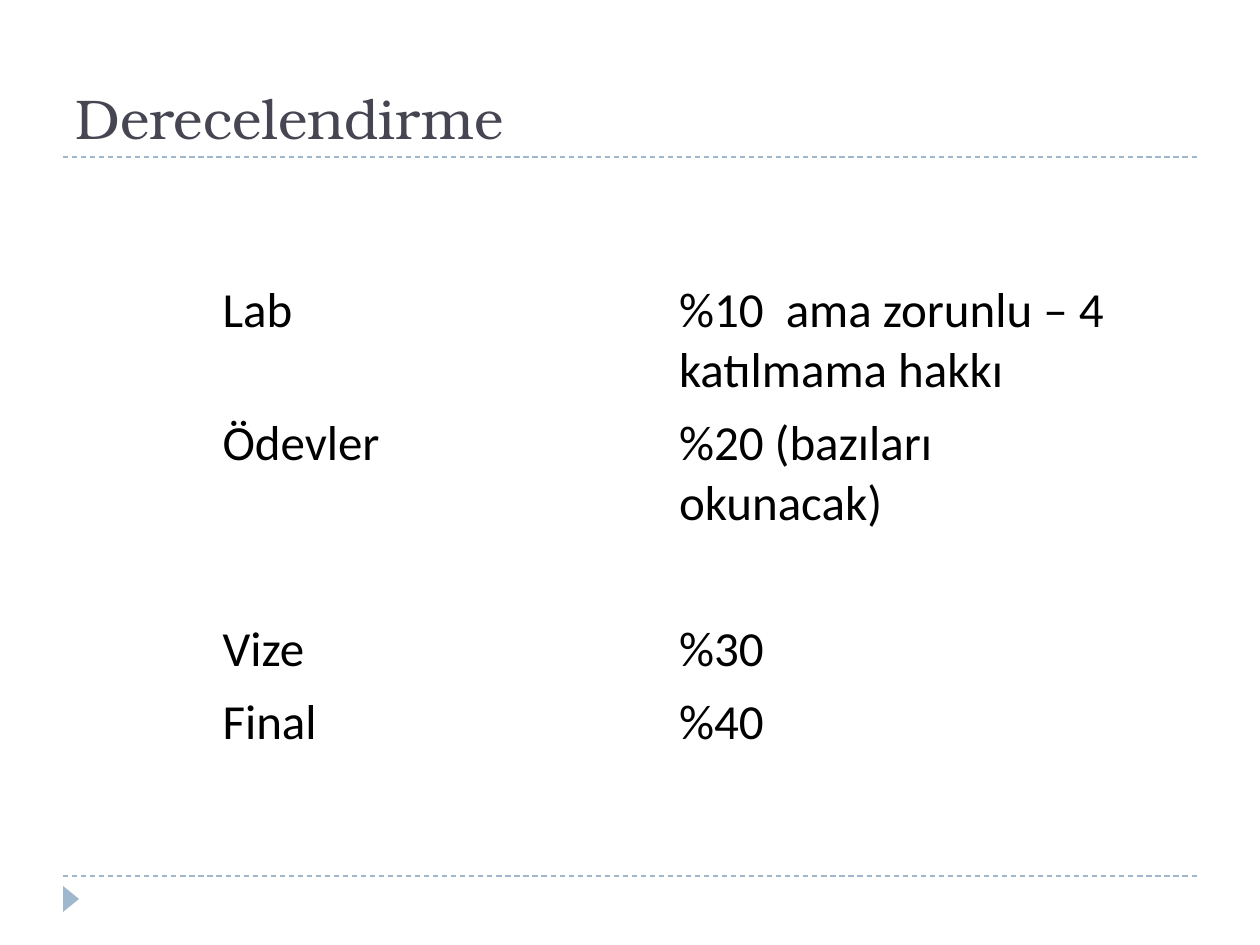
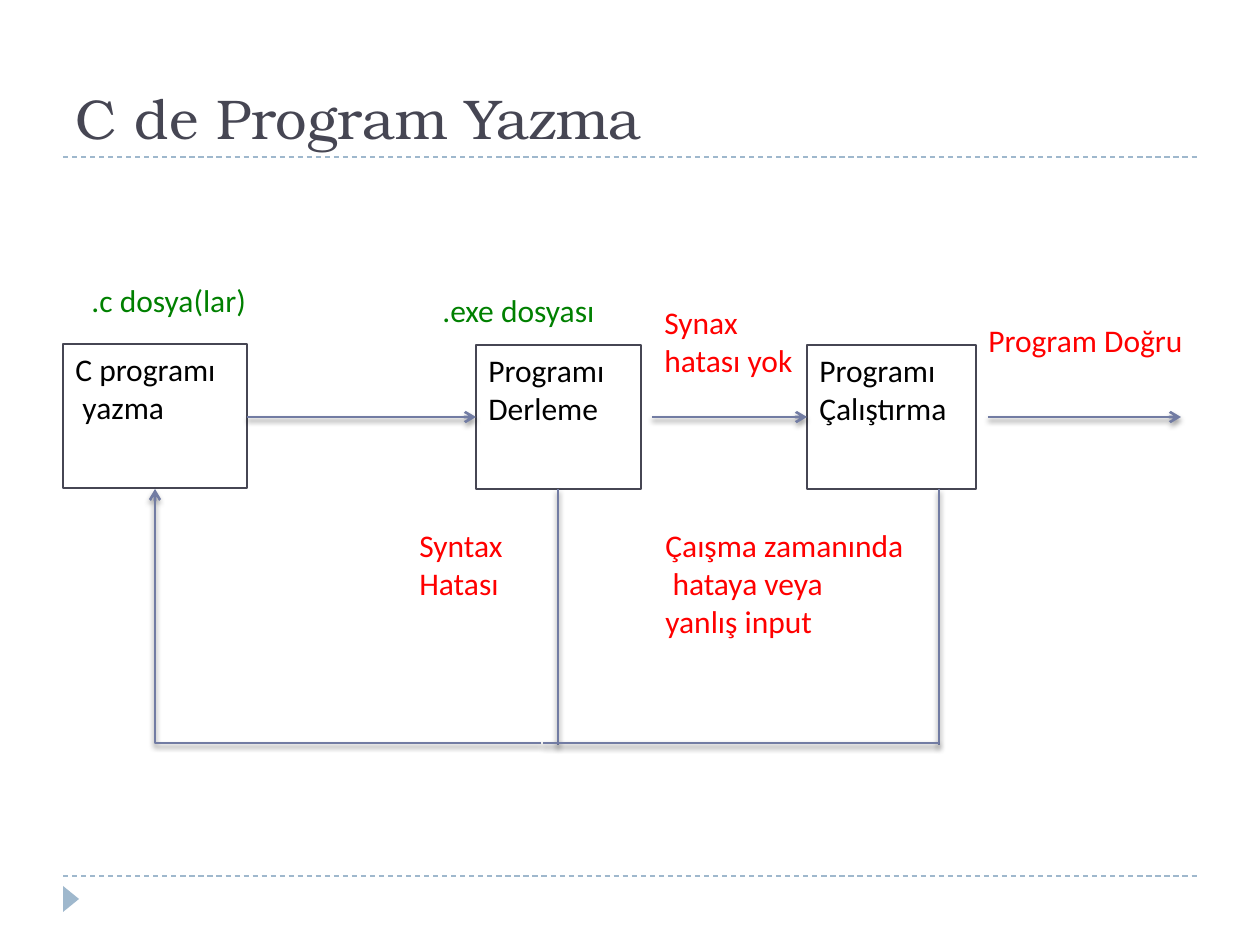
from lxml import etree
from pptx import Presentation
from pptx.dml.color import RGBColor
from pptx.enum import dml, shapes, text
from pptx.oxml import parse_xml
from pptx.oxml import ns

SCALE = 914400 / 126
HEAD = "TeX Gyre Bonum"
BODY = "Calibri"
SLATE = RGBColor(0x46, 0x46, 0x53)
SKY = RGBColor(0x9F, 0xB8, 0xCD)
INDIGO = RGBColor(0x72, 0x7C, 0xA3)
BLACK = RGBColor(0, 0, 0)
RED = RGBColor(0xFF, 0, 0)
GREEN = RGBColor(0, 0x80, 0)

LEFT, RIGHT = 63, 1197
FLOW, BACK, FOOT = 417, 743, 489

SHADOW = f"""<a:effectLst {ns.nsdecls("a")}>
<a:outerShdw blurRad="38100" dist="25400" dir="5400000" rotWithShape="0">
<a:srgbClr val="000000"><a:alpha val="40000"/></a:srgbClr>
</a:outerShdw></a:effectLst>"""
FLAT = f'<a:effectLst {ns.nsdecls("a")}/>'


def px(*sizes):
    return [round(size * SCALE) for size in sizes]


def pt(size):
    return round(size * 12700)


def write(para, words, size, color, font=BODY):
    run = para.add_run()
    run.text = words
    run.font.size = pt(size)
    run.font.name = font
    run.font.color.rgb = color


def fill_lines(frame, lines, color):
    frame.word_wrap = False
    frame.auto_size = text.MSO_AUTO_SIZE.SHAPE_TO_FIT_TEXT
    frame.vertical_anchor = text.MSO_ANCHOR.TOP
    for i, words in enumerate(lines):
        para = frame.add_paragraph() if i else frame.paragraphs[0]
        para.alignment = text.PP_ALIGN.LEFT
        write(para, words, 18, color)


def add_line(slide, start, end, color, width, effect, kind="STRAIGHT"):
    line = slide.shapes.add_connector(
        shapes.MSO_CONNECTOR[kind], *px(*start, *end))
    line.line.color.rgb = color
    line.line.width = pt(width)
    line._element.spPr.append(parse_xml(effect))
    return line


def add_flow(slide, start, end, arrow=False, kind="STRAIGHT"):
    line = add_line(slide, start, end, INDIGO, 1.5, SHADOW, kind)
    if kind == "ELBOW":
        line._element.spPr.prstGeom.set("prst", "bentConnector2")
    if arrow:
        etree.SubElement(line.line._ln, ns.qn("a:tailEnd"), type="arrow")


def add_box(slide, place, lines):
    box = slide.shapes.add_shape(shapes.MSO_SHAPE.RECTANGLE, *px(*place))
    box.shadow.inherit = False
    box.fill.background()
    box.line.color.rgb = SLATE
    box.line.width = pt(0.75)
    fill_lines(box.text_frame, lines, BLACK)


def add_label(slide, place, lines, color):
    label = slide.shapes.add_textbox(*px(*place))
    fill_lines(label.text_frame, lines, color)


def add_frame(deck, words):
    slide = deck.slides.add_slide(deck.slide_layouts[5])
    for y in (876, 157):
        rule = add_line(slide, (LEFT, y), (RIGHT, y), SKY, 0.75, FLAT)
        rule.line.dash_style = dml.MSO_LINE.DASH
    mark = slide.shapes.add_shape(
        shapes.MSO_SHAPE.ISOSCELES_TRIANGLE, *px(58, 891, 26, 16))
    mark.rotation = 90
    mark.shadow.inherit = False
    mark.fill.solid()
    mark.fill.fore_color.rgb = SKY
    mark.line.fill.background()
    title = slide.shapes.title
    title.left, title.top, title.width, title.height = px(LEFT, 21, 1134, 136)
    frame = title.text_frame
    frame.auto_size = text.MSO_AUTO_SIZE.NONE
    frame.vertical_anchor = text.MSO_ANCHOR.BOTTOM
    para = frame.paragraphs[0]
    para.alignment = text.PP_ALIGN.LEFT
    write(para, words, 32, SLATE, HEAD)
    return slide


def add_grades(slide, grades, heights):
    place = px(210, 275, 913, sum(heights))
    grid = slide.shapes.add_table(len(grades), 2, *place).table
    grid.first_row = grid.horz_banding = False
    for row, pair, height in zip(grid.rows, grades, heights):
        row.height = px(height)[0]
        for cell, words in zip(row.cells, pair):
            cell.fill.background()
            if words:
                write(cell.text_frame.paragraphs[0], words, 28, BLACK)
    grid.cell(2, 0).merge(grid.cell(2, 1))


def grade_slide(deck):
    slide = add_frame(deck, "Derecelendirme")
    grades = [
        ("Lab", "%10  ama zorunlu – 4 katılmama hakkı"),
        ("Ödevler", "%20 (bazıları okunacak)"),
        ("", ""),
        ("Vize", "%30"),
        ("Final", "%40"),
        ("", ""),
    ]
    add_grades(slide, grades, (132, 132, 74, 72, 72, 64))


def flow_slide(deck):
    slide = add_frame(deck, "C de Program Yazma")
    boxes = [
        ((LEFT, 344, 184, 144), ("C programı", " yazma")),
        ((476, 345, 165, 144), ("Programı", "Derleme")),
        ((807, 345, 169, 144), ("Programı", "Çalıştırma")),
    ]
    for place, lines in boxes:
        add_box(slide, place, lines)
    for x, end in ((247, 476), (652, 807), (988, 1181)):
        add_flow(slide, (x, FLOW), (end, FLOW), True)
    for x in (558, 939):
        add_flow(slide, (x, FOOT), (x, BACK + 2))
    add_flow(slide, (541, BACK), (155, FOOT), True, "ELBOW")
    add_flow(slide, (939, BACK), (543, BACK))
    labels = [
        ((407, 520, 129, 144), ("Syntax", "Hatası"), RED),
        ((653, 520, 293, 205),
         ("Çaışma zamanında", " hataya veya", "yanlış input"), RED),
        ((652, 297, 170, 144), ("Synax", "hatası yok"), RED),
        ((976, 315, 244, 82), ("Program Doğru",), RED),
        ((79, 275, 181, 50), (".c dosya(lar)",), GREEN),
        ((430, 285, 179, 50), (".exe dosyası",), GREEN),
    ]
    for place, lines, color in labels:
        add_label(slide, place, lines, color)


def main():
    deck = Presentation()
    deck.slide_width, deck.slide_height = px(1260, 945)
    grade_slide(deck)
    flow_slide(deck)
    deck.save("out.pptx")


if __name__ == "__main__":
    main()
